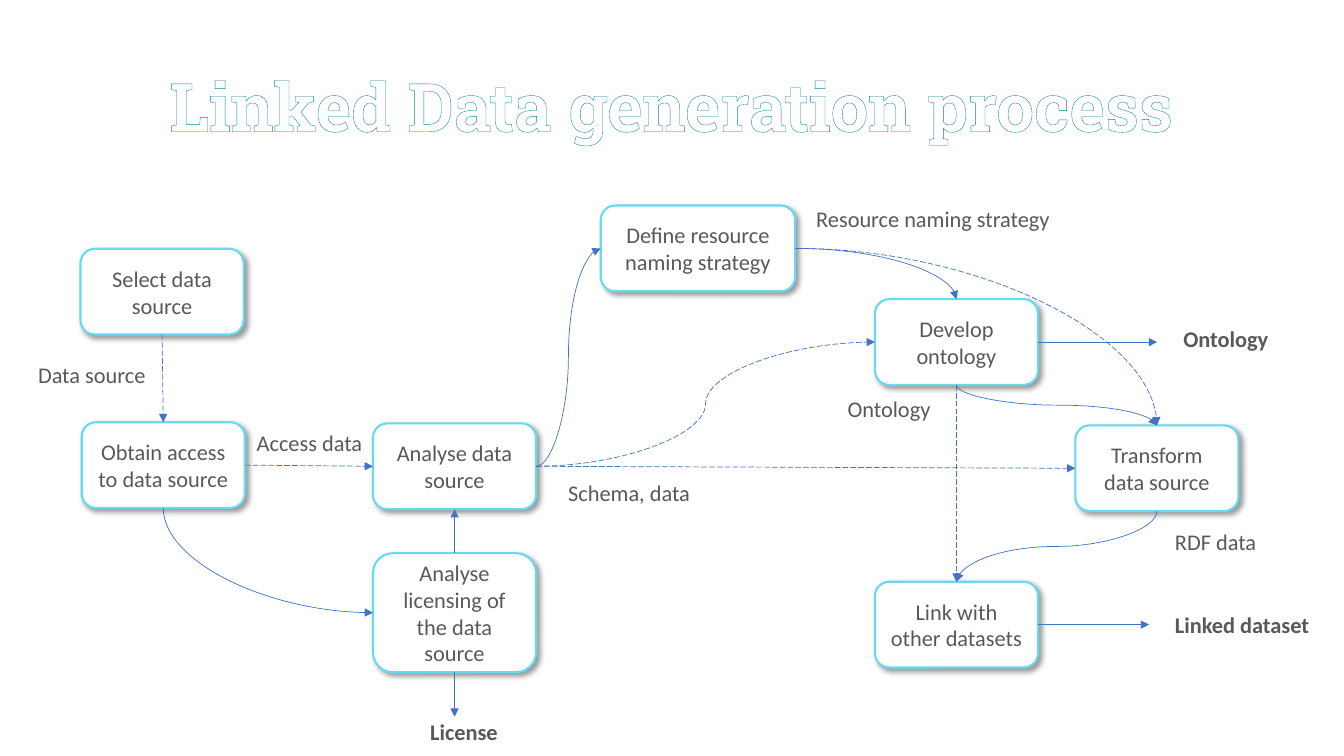
from dataclasses import dataclass

from lxml.etree import SubElement
from pptx import Presentation
from pptx.dml.color import RGBColor
from pptx.enum.dml import MSO_LINE_DASH_STYLE as Dash
from pptx.enum.shapes import MSO_CONNECTOR as Link, MSO_SHAPE as Shape
from pptx.enum.text import MSO_ANCHOR as Anchor, MSO_AUTO_SIZE as AutoSize, PP_ALIGN as Align
from pptx.oxml import parse_xml
from pptx.oxml.ns import nsdecls, qn
from pptx.util import Cm, Pt


@dataclass(frozen=True)
class Theme:
    white: str = "FFFFFF"
    text: str = "595959"
    border: str = "65DAF1"
    arrow: str = "4472C4"
    title_edge: str = "0E839A"
    shadow: str = "000000"
    sky: tuple = ((0, "0070C0", 100), (19, "0DA0D3", 94), (54, "65DAF1", 100), (97, "FFFFFF", 100))
    title_font: str = "Roboto Slab"
    body_font: str = "Calibri"
    title_size: int = 48
    body_size: int = 16


theme = Theme()


def write(frame, words, font_name, size, color, bold=False, align=Align.LEFT):
    frame.text = words
    frame.word_wrap = True
    paragraph = frame.paragraphs[0]
    paragraph.alignment = align
    font = paragraph.runs[0].font
    font.name, font.size, font.bold = font_name, Pt(size), bold
    font.color.rgb = RGBColor.from_string(color)
    return paragraph


def arrow(kind, begin, end, dashed=False):
    line = slide.shapes.add_connector(kind, *map(round, (*begin, *end)))
    line.line.color.rgb = RGBColor.from_string(theme.arrow)
    line.line.width = Pt(0.5)
    if dashed:
        line.line.dash_style = Dash.LONG_DASH
    SubElement(line.line._get_or_add_ln(), qn("a:tailEnd"), type="triangle")
    SubElement(line._element.spPr, qn("a:effectLst"))
    return line


prs = Presentation()
prs.slide_width, prs.slide_height = Cm(33.87), Cm(19.05)
slide = prs.slides.add_slide(prs.slide_layouts[6])

sky = slide.shapes.add_shape(Shape.RECTANGLE, Cm(0), Cm(-0.06), prs.slide_width, Cm(7.62))
sky.shadow.inherit = False
sky.line.fill.background()
stops = "".join(
    f'<a:gs pos="{place * 1000}"><a:srgbClr val="{color}"><a:alpha val="{alpha * 1000}"/></a:srgbClr></a:gs>'
    for place, color, alpha in theme.sky
)
gradient = parse_xml(
    f'<a:gradFill {nsdecls("a")} rotWithShape="1"><a:gsLst>{stops}</a:gsLst>'
    '<a:lin ang="5400000" scaled="0"/></a:gradFill>'
)
sky._element.spPr.find(qn("a:prstGeom")).addnext(gradient)

title = slide.shapes.add_textbox(Cm(3.2), Cm(0.89), Cm(27.46), Cm(2.92))
heading = write(title.text_frame, "Linked Data generation process", theme.title_font,
                theme.title_size, theme.white, True, Align.CENTER)
title.text_frame.vertical_anchor = Anchor.BOTTOM
heading.line_spacing = 0.9
heading.runs[0].font._element.insert(0, parse_xml(
    f'<a:ln {nsdecls("a")} w="{Pt(1.5)}"><a:solidFill>'
    f'<a:srgbClr val="{theme.title_edge}"/></a:solidFill></a:ln>'
))

step_width, step_height = 4.11, 2.16
steps = {
    "select": ("Select data source", 2.03, 6.27, step_width, step_height),
    "access": ("Obtain access to data source", 2.06, 10.64, step_width, step_height),
    "analyse": ("Analyse data source", 9.4, 10.67, step_width, step_height),
    "licensing": ("Analyse licensing of the data source", 9.4, 13.94, step_width, 3),
    "link": ("Link with other datasets", 22.05, 14.66, step_width, step_height),
    "transform": ("Transform data source", 27.1, 10.72, step_width, step_height),
    "develop": ("Develop ontology", 22.05, 7.54, step_width, step_height),
    "naming": ("Define resource naming strategy", 15.14, 5.18, 4.9, step_height),
}
boxes, sides = {}, {}
for key, (words, *place) in steps.items():
    left, top, width, height = map(Cm, place)
    box = slide.shapes.add_shape(Shape.ROUNDED_RECTANGLE, left, top, width, height)
    box.fill.solid()
    box.fill.fore_color.rgb = RGBColor.from_string(theme.white)
    box.line.color.rgb = RGBColor.from_string(theme.border)
    box.line.width = Pt(1.5)
    box.shadow.inherit = False
    box._element.spPr.find(qn("a:effectLst")).append(parse_xml(
        f'<a:outerShdw {nsdecls("a")} blurRad="{Pt(4)}" dist="{Pt(3)}" dir="2700000" algn="tl" rotWithShape="0">'
        f'<a:srgbClr val="{theme.shadow}"><a:alpha val="40000"/></a:srgbClr></a:outerShdw>'
    ))
    write(box.text_frame, words, theme.body_font, theme.body_size, theme.text, align=Align.CENTER)
    box.text_frame.vertical_anchor = Anchor.MIDDLE
    boxes[key] = box
    middle_x, middle_y = left + width / 2, top + height / 2
    sides[key] = ((middle_x, top), (left, middle_y), (middle_x, top + height), (left + width, middle_y))

TOP, LEFT, BOTTOM, RIGHT = range(4)

curved_flows = (
    ("transform", BOTTOM, "link", TOP, False),
    ("develop", BOTTOM, "transform", TOP, False),
    ("naming", RIGHT, "develop", TOP, False),
    ("analyse", RIGHT, "naming", LEFT, False),
    ("access", BOTTOM, "licensing", LEFT, False),
    ("naming", RIGHT, "transform", TOP, True),
    ("analyse", RIGHT, "develop", LEFT, True),
)
for source, exit_side, target, entry_side, dashed in curved_flows:
    begin, end = sides[source][exit_side], sides[target][entry_side]
    leaves_down = exit_side == BOTTOM
    if leaves_down:
        (x1, y1), (x2, y2) = begin, end
        center_x, center_y = (x1 + x2) / 2, (y1 + y2) / 2
        half_x, half_y = (x2 - x1) / 2, (y2 - y1) / 2
        begin = center_x - half_y, center_y + half_x
        end = center_x + half_y, center_y - half_x
    curve = arrow(Link.CURVE, begin, end, dashed)
    if leaves_down:
        curve._element.spPr.find(qn("a:xfrm")).set("rot", "5400000")
    if (exit_side + entry_side) % 2:
        curve._element.spPr.find(qn("a:prstGeom")).set("prst", "curvedConnector2")

straight_flows = (
    ("analyse", RIGHT, "transform", LEFT, True),
    ("select", BOTTOM, "access", TOP, True),
    ("access", RIGHT, "analyse", LEFT, True),
    ("licensing", TOP, "analyse", BOTTOM, False),
    ("develop", BOTTOM, "link", TOP, True),
)
for source, exit_side, target, entry_side, dashed in straight_flows:
    flow = arrow(Link.STRAIGHT, sides[source][exit_side], sides[target][entry_side], dashed)
    flow.begin_connect(boxes[source], exit_side)
    flow.end_connect(boxes[target], entry_side)

outputs = (
    ("link", RIGHT, 2.8, 0),
    ("develop", RIGHT, 3, 0),
    ("licensing", BOTTOM, 0, 1.12),
)
for source, exit_side, across, down in outputs:
    x, y = sides[source][exit_side]
    output = arrow(Link.STRAIGHT, (x, y), (x + Cm(across), y + Cm(down)))
    output.begin_connect(boxes[source], exit_side)

labels = (
    ("Data source", 0.71, 8.97, 3.71, False),
    ("Access data", 6.22, 10.69, 3.71, False),
    ("License", 10.59, 17.96, 2.95, True),
    ("Schema, data", 14.07, 11.96, 3.71, False),
    ("Ontology", 21.11, 9.83, 2.95, False),
    ("Resource naming strategy", 20.32, 5.05, 7.19, False),
    ("RDF data", 29.36, 13.18, 3.71, False),
    ("Ontology", 29.57, 8.08, 3.71, True),
    ("Linked dataset", 29.36, 15.27, 4.52, True),
)
for words, left, top, width, bold in labels:
    label = slide.shapes.add_textbox(Cm(left), Cm(top), Cm(width), Cm(0.94))
    write(label.text_frame, words, theme.body_font, theme.body_size, theme.text, bold)
    label.text_frame.auto_size = AutoSize.SHAPE_TO_FIT_TEXT

prs.save("out.pptx")
